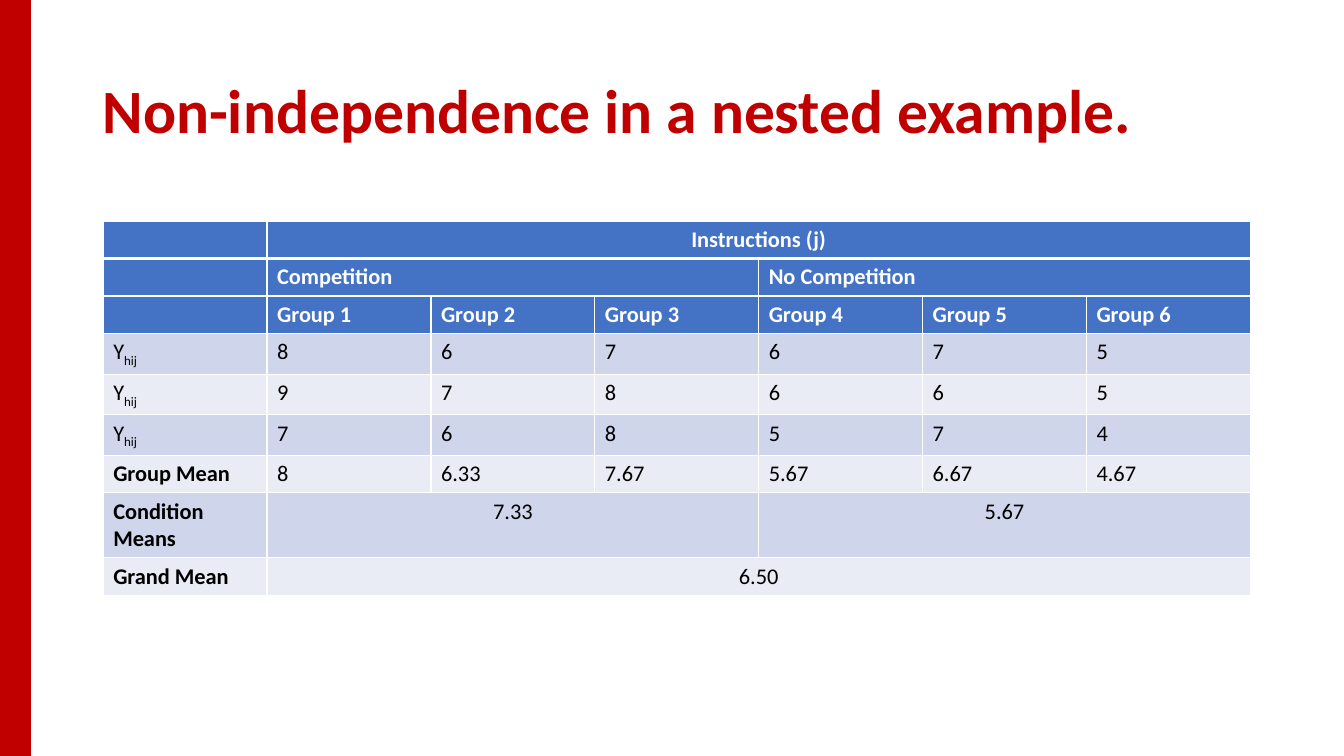
from lxml import etree
from pptx import Presentation
from pptx.dml.color import RGBColor
from pptx.enum.shapes import MSO_SHAPE
from pptx.enum.text import MSO_ANCHOR, PP_ALIGN
from pptx.oxml.ns import qn
from pptx.util import Cm, Pt

RECTANGLE = MSO_SHAPE.RECTANGLE
MIDDLE = MSO_ANCHOR.MIDDLE
LEFT, CENTER = PP_ALIGN.LEFT, PP_ALIGN.CENTER

# Content: None marks a cell covered by the one to its left
TITLE = "Non-independence in a nested example."
ROWS = [
    ["", "Instructions (j)", None, None, None, None, None],
    ["", "Competition", None, None, "No Competition", None, None],
    ["", "Group 1", "Group 2", "Group 3", "Group 4", "Group 5", "Group 6"],
    [("Y", "hij"), "8", "6", "7", "6", "7", "5"],
    [("Y", "hij"), "9", "7", "8", "6", "6", "5"],
    [("Y", "hij"), "7", "6", "8", "5", "7", "4"],
    ["Group Mean", "8", "6.33", "7.67", "5.67", "6.67", "4.67"],
    ["Condition Means", "7.33", None, None, "5.67", None, None],
    ["Grand Mean", "6.50", None, None, None, None, None],
]
HEADER_ROWS = 3
CENTERED_ROWS = {0, 7, 8}
FONT = "Calibri"
TABLE_SIZE = 16
COLORS = {
    "accent": "C00000",
    "header": "4472C4",
    "dark band": "CFD5EA",
    "light band": "E9EBF5",
    "white": "FFFFFF",
    "black": "000000",
}


def color(name):
    return RGBColor.from_string(COLORS[name])


def format_run(run, size, ink, bold):
    run.font.name = FONT
    run.font.size = Pt(size)
    run.font.bold = bold
    run.font.color.rgb = color(ink)


def add_borders(cell, bottom_width):
    properties = cell._tc.get_or_add_tcPr()
    for side, width in (("L", 1), ("R", 1), ("T", 1), ("B", bottom_width)):
        border = etree.SubElement(properties, qn(f"a:ln{side}"), w=str(Pt(width)))
        fill = etree.SubElement(border, qn("a:solidFill"))
        etree.SubElement(fill, qn("a:srgbClr"), val=COLORS["white"])


def write_cell(cell, content, ink, bold, align):
    paragraph = cell.text_frame.paragraphs[0]
    if not content:
        # An empty cell keeps the row at the height of the table text
        etree.SubElement(paragraph._p, qn("a:endParaRPr"), sz=str(TABLE_SIZE * 100))
        return
    paragraph.alignment = align
    base, subscript = content if isinstance(content, tuple) else (content, "")
    paragraph.text = base
    if subscript:
        index = paragraph.add_run()
        index.text = subscript
        index._r.get_or_add_rPr().set("baseline", "-25000")
    for run in paragraph.runs:
        format_run(run, TABLE_SIZE, ink, bold)


prs = Presentation()
prs.slide_width, prs.slide_height = Cm(33.87), Cm(19.05)
slide = prs.slides.add_slide(prs.slide_layouts[5])

# Title
title = slide.shapes.title
title.left, title.top, title.width, title.height = Cm(2.33), Cm(1.01), Cm(29.21), Cm(3.68)
title.text_frame.text = TITLE
title.text_frame.vertical_anchor = MIDDLE
heading = title.text_frame.paragraphs[0]
heading.alignment = LEFT
heading.line_spacing = 0.9
format_run(heading.runs[0], 44, "accent", True)

# Red side bar
bar = slide.shapes.add_shape(RECTANGLE, 0, 0, Cm(0.76), prs.slide_height)
bar.shadow.inherit = False
bar.fill.solid()
bar.fill.fore_color.rgb = color("accent")
bar.line.color.rgb = color("accent")
bar.line.width = Pt(1)

# Table of scores and means
column_count = len(ROWS[0])
column_width, row_height = Cm(4.13), Cm(0.89)
table = slide.shapes.add_table(
    len(ROWS), column_count, Cm(2.6), Cm(5.57),
    column_width * column_count, row_height * len(ROWS),
).table
for column in table.columns:
    column.width = column_width

for r, row in enumerate(ROWS):
    table.rows[r].height = row_height
    is_header = r < HEADER_ROWS
    band = "header" if is_header else ("light band", "dark band")[r % 2]
    ink = "white" if is_header else "black"
    align = CENTER if r in CENTERED_ROWS else LEFT
    for c, content in enumerate(row):
        cell = table.cell(r, c)
        add_borders(cell, 3 if r == 0 else 1)
        cell.fill.solid()
        cell.fill.fore_color.rgb = color(band)
        is_mean_label = c == 0 and isinstance(content, str)
        write_cell(cell, content, ink, is_header or is_mean_label,
                   align if c else LEFT)

    # Spanning cells run from one filled cell to the next
    starts = [c for c, content in enumerate(row) if content is not None]
    for start, end in zip(starts, starts[1:] + [column_count]):
        if end - start > 1:
            table.cell(r, start).merge(table.cell(r, end - 1))

prs.save("out.pptx")
